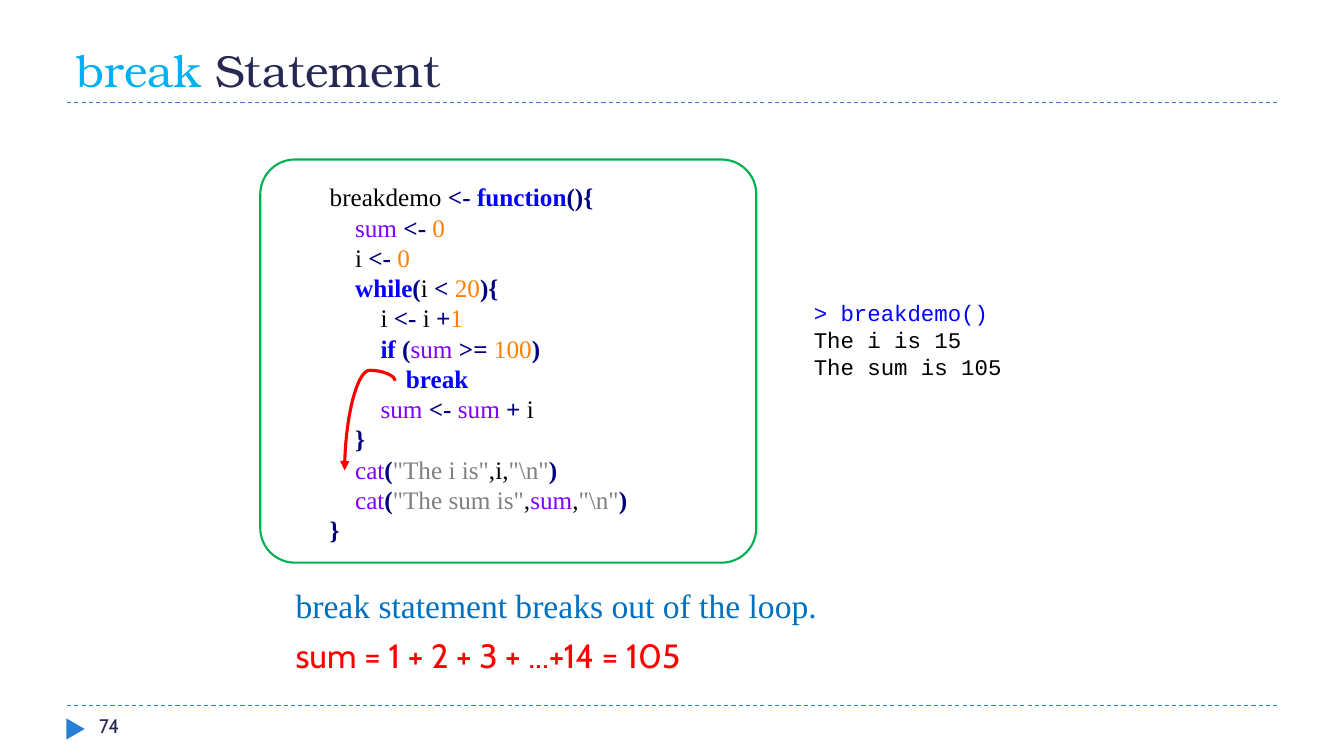
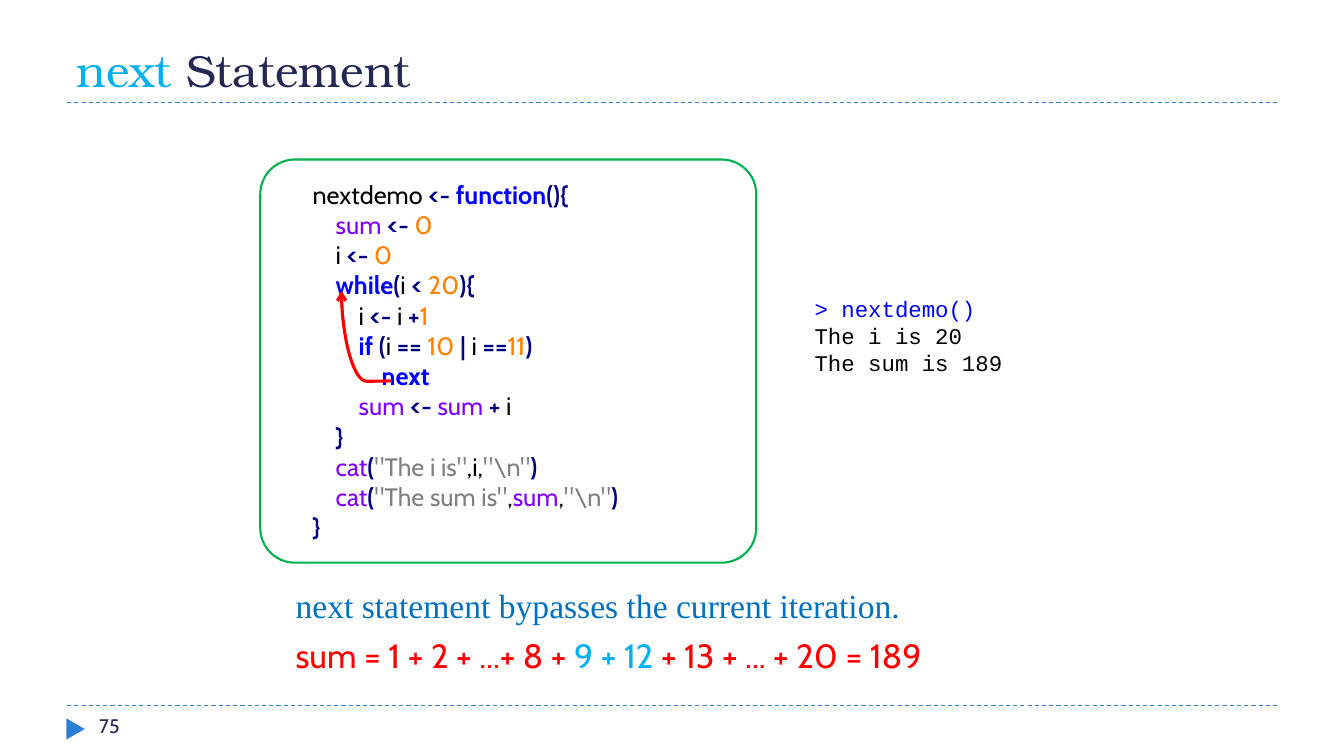
from dataclasses import dataclass

from lxml import etree
from pptx import Presentation
from pptx.dml.color import RGBColor
from pptx.enum.dml import MSO_LINE
from pptx.enum.shapes import MSO_CONNECTOR, MSO_SHAPE
from pptx.enum.text import MSO_ANCHOR
from pptx.oxml.ns import qn
from pptx.util import Cm, Pt

STRAIGHT, CURVE = MSO_CONNECTOR.STRAIGHT, MSO_CONNECTOR.CURVE
TRIANGLE, ROUNDED = MSO_SHAPE.ISOSCELES_TRIANGLE, MSO_SHAPE.ROUNDED_RECTANGLE
TOP, MIDDLE, BOTTOM = MSO_ANCHOR.TOP, MSO_ANCHOR.MIDDLE, MSO_ANCHOR.BOTTOM
DASH = MSO_LINE.DASH

BLACK = RGBColor(0x00, 0x00, 0x00)
WHITE = RGBColor(0xFF, 0xFF, 0xFF)
INK = RGBColor(0x24, 0x28, 0x52)
ACCENT = RGBColor(0x29, 0x7F, 0xD5)
SKY = RGBColor(0x00, 0xB0, 0xF0)
SEA = RGBColor(0x00, 0x70, 0xC0)
GREEN = RGBColor(0x00, 0xB0, 0x50)
RED = RGBColor(0xFF, 0x00, 0x00)
BLUE = RGBColor(0x00, 0x00, 0xFF)
NAVY = RGBColor(0x00, 0x00, 0x80)
PURPLE = RGBColor(0x80, 0x00, 0xFF)
ORANGE = RGBColor(0xFF, 0x80, 0x00)
GRAY = RGBColor(0x80, 0x80, 0x80)

SANS, SERIF = "Cabin", "Times New Roman"
MONO, HEADING = "Courier New", "TeX Gyre Bonum"
LEADING = 1.2

KEYWORDS = {"function", "while", "if", "break", "next"}
BUILTINS = {"sum", "cat"}
OPERATORS = set("<-+>=(){}|")

CODE = r"""
0:{name}demo ~<-~ ~function~(){{
1:sum~ ~<-~ ~0
1:i ~<-~ ~0
1:while~(~i ~<~ ~20~){{
2:i ~<-~ i ~+~1
2:if~ ~{condition}
3:{name}
2:sum~ ~<-~ ~sum~ ~+~ i
1:}}
1:cat~(~"The i is"~,i,~"\n"~)
1:cat~(~"The sum is"~,~sum~,~"\n"~)
0:}}
"""


@dataclass
class Box:
    """A rectangle measured in centimetres."""
    left: float
    top: float
    width: float
    height: float

    def inner(self, left, top, width, height):
        """Return a box placed relative to this one."""
        return Box(self.left + left, self.top + top, width, height)

    def lengths(self):
        """Return left, top, width and height as lengths."""
        return Cm(self.left), Cm(self.top), Cm(self.width), Cm(self.height)


@dataclass
class Arrow:
    """The bend, turn, head and place of a curved arrow."""
    left: float
    top: float
    turn: int
    bend: int
    head: str
    flipped: bool


@dataclass
class Lesson:
    """The content of one statement slide."""
    number: int
    name: str
    condition: str
    code_font: str
    code_indent: float
    code_at: tuple
    arrow: Arrow
    output_at: tuple
    results: tuple
    remark: str
    total: list


LESSONS = [
    Lesson(74, "break", "(~sum~ ~>=~ ~100~)", SERIF, 0.64, (1.5, 0.43),
           Arrow(1.63, 6.07, 90, -11700, "triangle", False),
           (13.95, 3.5, 5.13, 2.06), ("The i is 15", "The sum is 105"),
           "break statement breaks out of the loop.",
           [("sum = 1 + 2 + 3 + ...+14 = 105", RED)]),
    Lesson(75, "next", "(~i ~==~ ~10~ ~|~ i ~==~11~)", SANS, 0.58, (1.07, 0.36),
           Arrow(1.55, 3.81, 270, -600, "arrow", True),
           (13.97, 3.4, 4.8, 2.06), ("The i is 20", "The sum is 189"),
           "next statement bypasses the current iteration.",
           [("sum = 1 + 2 + ...+ 8 + ", RED), ("9 + 12 ", SKY),
            ("+ 13 + ... + 20 = 189", RED)]),
]


def add_text(page, box, lines, *, font, size, anchor=TOP, inset=(0.25, 0.13),
             indent=0, fill=None):
    """Add a text box from lines of (level, spans); a span is text, colour and maybe bold."""
    shape = page.shapes.add_textbox(*box.lengths())
    if fill is not None:
        shape.fill.solid()
        shape.fill.fore_color.rgb = fill
    frame = shape.text_frame
    frame.word_wrap = True
    frame.vertical_anchor = anchor
    frame.margin_left = frame.margin_right = Cm(inset[0])
    frame.margin_top = frame.margin_bottom = Cm(inset[1])
    for index, (level, spans) in enumerate(lines):
        para = frame.add_paragraph() if index else frame.paragraphs[0]
        para.line_spacing = Pt(size * LEADING)
        para._p.get_or_add_pPr().set("marL", str(Cm(level * indent)))
        for text, color, *bold in spans:
            span = para.add_run()
            span.text = text
            span.font.name = font
            span.font.size = Pt(size)
            span.font.color.rgb = color
            span.font.bold = any(bold)
    return shape


def add_line(page, kind, start, end, color, weight):
    """Add a connector without a shadow between two points in centimetres."""
    line = page.shapes.add_connector(kind, *(Cm(value) for value in (*start, *end)))
    line.line.color.rgb = color
    line.line.width = Pt(weight)
    etree.SubElement(line._element.spPr, qn("a:effectLst"))
    return line


def add_arrow(page, box, arrow):
    """Add the curved arrow that shows the jump, inside the code panel."""
    area = box.inner(arrow.left, arrow.top, 2.26, 1.27)
    ends = [area.top, area.top + area.height]
    if arrow.flipped:
        ends.reverse()
    line = add_line(page, CURVE, (area.left, ends[0]),
                    (area.left + area.width, ends[1]), RED, 2.25)
    properties = line._element.spPr
    properties.find(qn("a:xfrm")).set("rot", str(arrow.turn * 60000))
    guides = properties.find(qn("a:prstGeom")).get_or_add_avLst()
    etree.SubElement(guides, qn("a:gd"), name="adj1", fmla=f"val {arrow.bend}")
    etree.SubElement(properties.find(qn("a:ln")), qn("a:tailEnd"), type=arrow.head)


def color_token(token):
    """Return a span for one piece of code, coloured by its role."""
    word = token.strip()
    if word in KEYWORDS:
        return token, BLUE, True
    if word and set(word) <= OPERATORS:
        return token, NAVY, True
    if word in BUILTINS:
        return token, PURPLE
    if word.isdigit():
        return token, ORANGE
    return token, GRAY if word.startswith('"') else BLACK


def draw_frame(page, box, name, number):
    """Draw the title, the dashed rules and the page number."""
    for top in (0, 15.19):
        rule = add_line(page, STRAIGHT, (box.left, box.top + top),
                        (box.left + box.width, box.top + top), ACCENT, 0.75)
        rule.line.dash_style = DASH
    marker = page.shapes.add_shape(TRIANGLE, *box.inner(-0.05, 15.55, 0.53, 0.46).lengths())
    marker.rotation = 90
    marker.shadow.inherit = False
    marker.fill.solid()
    marker.fill.fore_color.rgb = ACCENT
    marker.line.fill.background()
    add_text(page, box.inner(0, -2.16, box.width, 2.13),
             [(0, [(name, SKY), (" Statement", INK)])],
             font=HEADING, size=32, anchor=BOTTOM)
    add_text(page, box.inner(0.56, 15.27, 7.34, 0.81),
             [(0, [(str(number), INK)])], font=SANS, size=14)


def draw_code(page, box, lesson):
    """Draw the outlined panel with its code and arrow."""
    panel = page.shapes.add_shape(ROUNDED, *box.lengths())
    panel.adjustments[0] = 0.086
    panel.shadow.inherit = False
    panel.fill.background()
    panel.line.color.rgb = GREEN
    panel.line.width = Pt(1.5)
    source = CODE.strip().format(name=lesson.name, condition=lesson.condition)
    lines = []
    for row in source.splitlines():
        level, code = row.split(":", 1)
        lines.append((int(level), [color_token(token) for token in code.split("~")]))
    add_text(page, box.inner(*lesson.code_at, 9.73, 9.5), lines,
             font=lesson.code_font, size=18, indent=lesson.code_indent)
    add_arrow(page, box, lesson.arrow)


def draw_results(page, box, lesson):
    """Draw the console output and the two remarks around the code panel."""
    lines = [(0, [(f"> {lesson.name}demo()", BLUE)])]
    lines += [(0, [(result, BLACK)]) for result in lesson.results]
    add_text(page, box.inner(*lesson.output_at), lines, font=MONO, size=16,
             anchor=MIDDLE, inset=(0, 0), fill=WHITE)
    add_text(page, box.inner(0.64, 10.58, 19.47, 1.27),
             [(0, [(lesson.remark, SEA)])], font=SERIF, size=24)
    add_text(page, box.inner(0.64, 11.85, 18.42, 1.27),
             [(0, lesson.total)], font=SANS, size=24)


def draw_lesson(deck, lesson):
    """Add one statement slide."""
    page = deck.slides.add_slide(deck.slide_layouts[6])
    body = Box(1.69, 2.59, 30.48, 16.46)
    panel = body.inner(4.87, 1.43, 12.5, 10.16)
    draw_frame(page, body, lesson.name, lesson.number)
    draw_code(page, panel, lesson)
    draw_results(page, panel, lesson)


def main():
    """Build and save the deck."""
    deck = Presentation()
    deck.slide_width, deck.slide_height = Cm(33.87), Cm(19.05)
    for lesson in LESSONS:
        draw_lesson(deck, lesson)
    deck.save("out.pptx")


if __name__ == "__main__":
    main()
